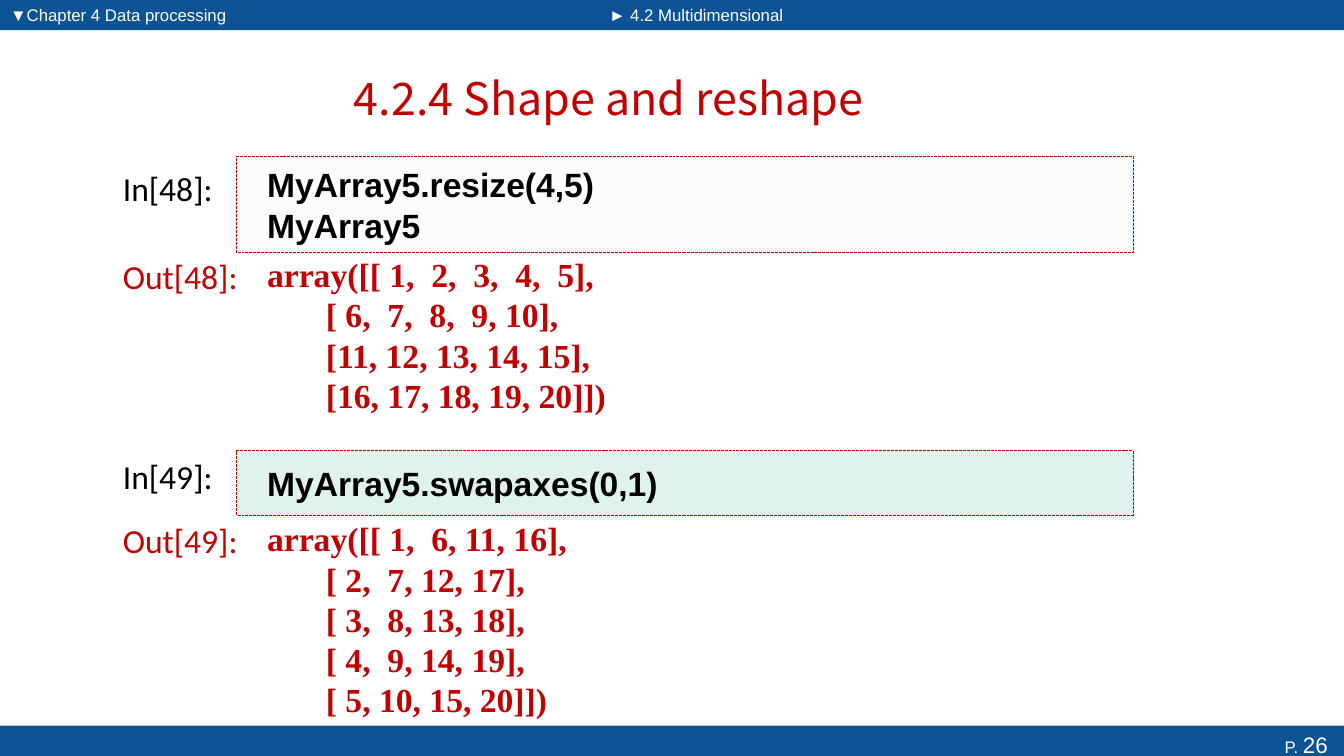
from dataclasses import dataclass

from lxml import etree
from pptx import Presentation
from pptx.dml.color import RGBColor
from pptx.enum.dml import MSO_LINE
from pptx.enum.shapes import MSO_SHAPE
from pptx.enum.text import MSO_ANCHOR, MSO_AUTO_SIZE, PP_ALIGN
from pptx.oxml.ns import qn
from pptx.util import Inches, Pt

RECTANGLE = MSO_SHAPE.RECTANGLE
DASHED = MSO_LINE.SQUARE_DOT
TOP, MIDDLE = MSO_ANCHOR.TOP, MSO_ANCHOR.MIDDLE
LEFT, CENTER, RIGHT = PP_ALIGN.LEFT, PP_ALIGN.CENTER, PP_ALIGN.RIGHT
NO_FIT = MSO_AUTO_SIZE.NONE


@dataclass(frozen=True)
class Theme:
    band: str = "0B5394"
    light: str = "FFFFFF"
    ink: str = "000000"
    accent: str = "C00000"
    border: str = "AB0000"
    title_font: str = "Noto Sans CJK SC"
    label_font: str = "Calibri"
    code_font: str = "Arial"
    output_font: str = "Times New Roman"
    title_size: int = 32
    code_size: int = 24
    page_size: int = 16
    small_size: int = 12
    tint_opacity: int = 13000


theme = Theme()


def place(item, left, top, width, height):
    item.left, item.top = Inches(left), Inches(top)
    item.width, item.height = Inches(width), Inches(height)


def write(item, lines, font, size, color, bold=False, anchor=TOP, align=LEFT, inset=0.1):
    frame = item.text_frame
    frame.word_wrap = True
    frame.auto_size = NO_FIT
    frame.vertical_anchor = anchor
    frame.margin_left = Inches(inset)
    frame.text = "\n".join(lines)
    for paragraph in frame.paragraphs:
        paragraph.alignment = align
        paragraph.space_before = Pt(0)
        paragraph.font.name = font
        paragraph.font.size = Pt(size)
        paragraph.font.bold = bold
        paragraph.font.color.rgb = RGBColor.from_string(color)


WIDTH, HEIGHT = 13.33, 7.5
SPLIT, HEADER = 5.93, 0.3
FOOTER_TOP, FOOTER_HEIGHT = 7.2, 0.37
LABEL_LEFT, LABEL_HEIGHT = 1.12, 0.5
CELL_LEFT, INPUT_WIDTH, OUTPUT_WIDTH, CELL_INSET = 2.35, 8.89, 8.74, 0.3

presentation = Presentation()
presentation.slide_width, presentation.slide_height = Inches(WIDTH), Inches(HEIGHT)
slide = presentation.slides.add_slide(presentation.slide_layouts.get_by_name("Two Content"))
shapes = slide.shapes

# Header and footer bands, behind the placeholders
bands = [
    (0, 0, SPLIT, HEADER),
    (SPLIT, 0, WIDTH - SPLIT, HEADER),
    (0, FOOTER_TOP, WIDTH, FOOTER_HEIGHT),
]
for position, box in enumerate(bands):
    band = shapes.add_shape(RECTANGLE, *map(Inches, box))
    band.shadow.inherit = False
    band.fill.solid()
    band.fill.fore_color.rgb = RGBColor.from_string(theme.band)
    band.line.fill.background()
    shapes._spTree.insert(2 + position, band._element)

# Page number in the footer, the last band
write(band, ["P. "], theme.code_font, theme.small_size, theme.light, align=RIGHT)
band.text_frame.margin_right = Inches(0.16)
page_number = band.text_frame.paragraphs[0].add_run()
page_number.text = "26"
page_number.font.size = Pt(theme.page_size)

# Title
place(shapes.title, 0.68, 0.52, 10.72, 0.9)
write(shapes.title, ["4.2.4 Shape and reshape"], theme.title_font, theme.title_size,
      theme.accent, anchor=MIDDLE, align=CENTER)

# Chapter and section in the header
breadcrumbs = [
    (1, "▼Chapter 4 Data processing", 0, 4.83),
    (2, "► 4.2 Multidimensional", SPLIT + 0.01, 2.38),
]
for index, heading, left, width in breadcrumbs:
    breadcrumb = slide.placeholders[index]
    place(breadcrumb, left, 0, width, HEADER - 0.01)
    breadcrumb.text_frame.text = heading
    write(breadcrumb, [heading], theme.code_font, theme.small_size, theme.light)
    properties = breadcrumb.text_frame.paragraphs[0]._p.get_or_add_pPr()
    properties.set("marL", str(Inches(0.38)))
    properties.set("indent", str(-Inches(0.38)))
    bullet = etree.Element(qn("a:buNone"))
    properties.find(qn("a:defRPr")).addprevious(bullet)

# Input cells: label top, cell top and height, tint, code
inputs = [
    ("In[48]:", 1.62, 1.55, 0.96, "F1EEF4", ["MyArray5.resize(4,5)", "MyArray5"]),
    ("In[49]:", 4.47, 4.47, 0.64, "0C9B74", ["MyArray5.swapaxes(0,1)"]),
]
# Output cells: label top, cell top and height, printed array
outputs = [
    ("Out[48]:", 2.49, 2.51, 1.62, [
        "array([[ 1,  2,  3,  4,  5],",
        "       [ 6,  7,  8,  9, 10],",
        "       [11, 12, 13, 14, 15],",
        "       [16, 17, 18, 19, 20]])",
    ]),
    ("Out[49]:", 5.11, 5.22, 1.84, [
        "array([[ 1,  6, 11, 16],",
        "       [ 2,  7, 12, 17],",
        "       [ 3,  8, 13, 18],",
        "       [ 4,  9, 14, 19],",
        "       [ 5, 10, 15, 20]])",
    ]),
]

for _, _, top, height, tint, code in inputs:
    cell = shapes.add_shape(RECTANGLE, *map(Inches, (CELL_LEFT, top, INPUT_WIDTH, height)))
    cell.shadow.inherit = False
    cell.fill.solid()
    cell.fill.fore_color.rgb = RGBColor.from_string(tint)
    tint_color = cell._element.spPr.find(qn("a:solidFill"))[0]
    etree.SubElement(tint_color, qn("a:alpha"), val=str(theme.tint_opacity))
    cell.line.color.rgb = RGBColor.from_string(theme.border)
    cell.line.width = Pt(0.7)
    cell.line.dash_style = DASHED
    write(cell, code, theme.code_font, theme.code_size, theme.ink,
          bold=True, anchor=MIDDLE, inset=CELL_INSET)

for _, _, top, height, printed in outputs:
    result = shapes.add_textbox(*map(Inches, (CELL_LEFT, top, OUTPUT_WIDTH, height)))
    write(result, printed, theme.output_font, theme.code_size, theme.accent,
          bold=True, anchor=MIDDLE, inset=CELL_INSET)

# Cell labels
for cells, width, color in [(inputs, 1.35, theme.ink), (outputs, 1.54, theme.accent)]:
    for prompt, top, *_ in cells:
        label = shapes.add_textbox(*map(Inches, (LABEL_LEFT, top, width, LABEL_HEIGHT)))
        write(label, [prompt], theme.label_font, theme.code_size, color)

presentation.save("out.pptx")
